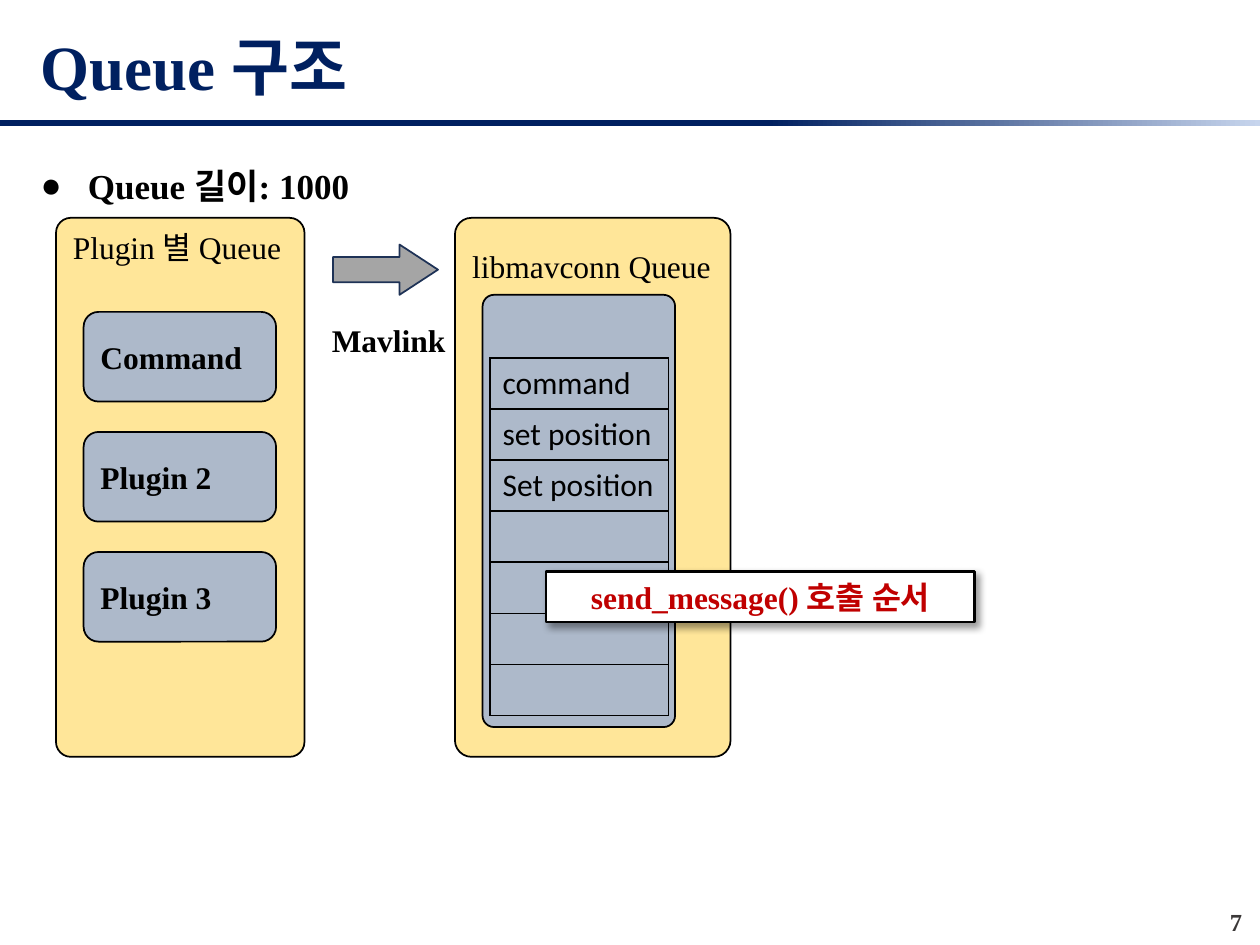
from lxml.etree import SubElement
from pptx import Presentation
from pptx.dml.color import RGBColor
from pptx.enum.shapes import MSO_SHAPE
from pptx.enum.text import MSO_ANCHOR, MSO_AUTO_SIZE, PP_ALIGN
from pptx.oxml.ns import qn
from pptx.util import Pt

COLORS = {
    "black": "000000", "white": "FFFFFF", "navy": "002060", "pale": "C7D5ED",
    "yellow": "FFE699", "steel": "ADB9CA", "gray": "A5A5A5", "edge": "1E3256",
    "red": "C00000", "number": "3B3838",
}
SERIF = "Times New Roman"


def color(name):
    return RGBColor.from_string(COLORS[name])


def place(item, left, top, width, height):
    item.left, item.top = Pt(left), Pt(top)
    item.width, item.height = Pt(width), Pt(height)


def write(frame, text, size=18, ink="black", bold=True, font=SERIF,
          align=PP_ALIGN.LEFT, anchor=MSO_ANCHOR.MIDDLE):
    frame.text = text
    frame.vertical_anchor = anchor
    para = frame.paragraphs[0]
    para.alignment = align
    for span in para.runs:
        span.font.name = font
        span.font.size = Pt(size)
        span.font.bold = bold
        span.font.color.rgb = color(ink)


def add_box(page, kind, bounds, fill, line="black", weight=1, corner=None):
    box = page.shapes.add_shape(kind, *map(Pt, bounds))
    box.shadow.inherit = False
    box.fill.solid()
    box.fill.fore_color.rgb = color(fill)
    box.line.color.rgb = color(line)
    box.line.width = Pt(weight)
    if corner is not None:
        box.adjustments[0] = corner
    return box


def add_label(page, bounds, text, **style):
    label = page.shapes.add_textbox(*map(Pt, bounds))
    write(label.text_frame, text, **style)


def add_panel(page, bounds, heading, inset):
    panel = add_box(page, MSO_SHAPE.ROUNDED_RECTANGLE, bounds, "yellow", corner=0.06)
    panel.text_frame.word_wrap = True
    panel.text_frame.margin_top = Pt(inset)
    write(panel.text_frame, heading, bold=False, anchor=MSO_ANCHOR.TOP)


def add_title(page, text):
    title = page.shapes.title
    place(title, 16, 8.5, 684, 57.5)
    title.text_frame.auto_size = MSO_AUTO_SIZE.NONE
    write(title.text_frame, text, size=36, ink="navy")


def add_bullet(page, text):
    body = page.placeholders[1]
    place(body, 16, 78.5, 684, 39.5)
    frame = body.text_frame
    frame.auto_size = MSO_AUTO_SIZE.NONE
    write(frame, text, size=20, anchor=MSO_ANCHOR.TOP)
    para = frame.paragraphs[0]
    para.line_spacing = 1.5
    para.space_before = Pt(0)
    properties = para._p.get_or_add_pPr()
    properties.set("marL", str(Pt(27)))
    properties.set("indent", str(-Pt(27)))
    SubElement(properties, qn("a:buChar"), char="●")


def add_rule(page):
    rule = add_box(page, MSO_SHAPE.RECTANGLE, (0, 68.5, 720, 3.5), "navy")
    rule.line.fill.background()
    rule.fill.gradient()
    rule.fill.gradient_angle = 0
    stops = zip(rule.fill.gradient_stops, (0.61, 1), ("navy", "pale"))
    for stop, position, name in stops:
        stop.position = position
        stop.color.rgb = color(name)


def add_borders(cell):
    properties = cell._tc.get_or_add_tcPr()
    for side in ("lnL", "lnR", "lnT", "lnB"):
        border = SubElement(properties, qn(f"a:{side}"), w=str(Pt(1)))
        solid = SubElement(border, qn("a:solidFill"))
        SubElement(solid, qn("a:srgbClr"), val=COLORS["black"])


def add_queue_table(page, messages):
    row_height = 29.2
    bounds = (280, 204.5, 102, row_height * len(messages))
    table = page.shapes.add_table(len(messages), 1, *map(Pt, bounds)).table
    table.first_row = table.horz_banding = False
    for row, message in zip(table.rows, messages):
        row.height = Pt(row_height)
        cell = row.cells[0]
        add_borders(cell)
        cell.fill.background()
        write(cell.text_frame, message, bold=False, font="Calibri",
              anchor=MSO_ANCHOR.TOP)


def add_drop_shadow(box):
    effects = box._element.spPr.find(qn("a:effectLst"))
    shadow = SubElement(effects, qn("a:outerShdw"), blurRad=str(Pt(4)),
                        dist=str(Pt(3)), dir="2700000", algn="tl", rotWithShape="0")
    tint = SubElement(shadow, qn("a:srgbClr"), val=COLORS["black"])
    SubElement(tint, qn("a:alpha"), val="40000")


def add_callout(page, text):
    callout = add_box(page, MSO_SHAPE.RECTANGLE, (312, 326.5, 245, 29),
                      "white", weight=1.5)
    add_drop_shadow(callout)
    write(callout.text_frame, text, ink="red", align=PP_ALIGN.CENTER)


def main():
    deck = Presentation()
    deck.slide_width, deck.slide_height = Pt(720), Pt(540)
    page = deck.slides.add_slide(deck.slide_layouts[1])

    add_title(page, "Queue 구조")
    add_bullet(page, "Queue 길이: 1000")
    add_label(page, (687, 515, 30, 21.5), "7", size=14, ink="number",
              align=PP_ALIGN.RIGHT, anchor=MSO_ANCHOR.TOP)
    add_rule(page)

    add_panel(page, (32, 124.5, 142, 308), "Plugin 별 Queue", 3.6)
    for index, name in enumerate(("Command", "Plugin 2", "Plugin 3")):
        bounds = (47.75, 178.25 + 68.6 * index, 110, 51.25)
        plugin = add_box(page, MSO_SHAPE.ROUNDED_RECTANGLE, bounds, "steel")
        write(plugin.text_frame, name)

    add_panel(page, (260, 124.5, 157.5, 308), "libmavconn Queue", 14)
    add_box(page, MSO_SHAPE.ROUNDED_RECTANGLE, (275.75, 168.5, 110, 247),
            "steel", corner=0.06)
    add_queue_table(page, ("command", "set position", "Set position", "", "", "", ""))

    arrow = add_box(page, MSO_SHAPE.RIGHT_ARROW, (190.25, 139.75, 60, 28.75),
                    "gray", line="edge")
    arrow.adjustments[1] = 0.765
    add_label(page, (182.5, 169, 110, 51), "Mavlink")
    add_callout(page, "send_message() 호출 순서")

    deck.save("out.pptx")


if __name__ == "__main__":
    main()
